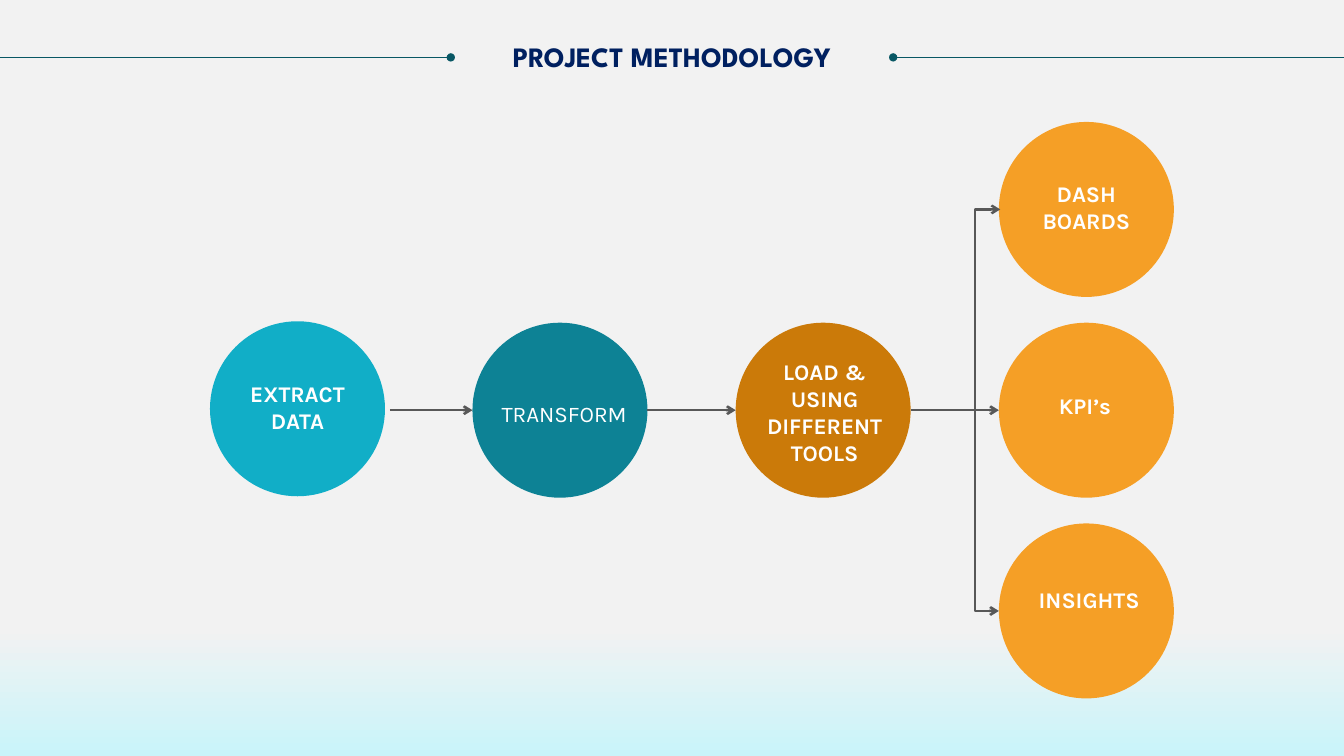
from pptx import Presentation
from pptx.dml.color import RGBColor
from pptx.enum.shapes import MSO_CONNECTOR, MSO_SHAPE
from pptx.enum.text import MSO_ANCHOR, PP_ALIGN
from pptx.oxml.ns import qn
from pptx.util import Pt
from lxml.etree import SubElement

COLORS = {
    "paper": "F2F2F2", "glow": "C9F4FA", "rule": "085764", "title": "002060",
    "extract": "11AEC7", "transform": "0D8295", "load": "CB7A09",
    "output": "F59F26", "arrow": "585858", "label": "FFFFFF",
}
WIDTH, HEIGHT = 960, 540
DIAMETER = 125
LABEL_W, LINE_H = 108, 19


def rgb(name):
    return RGBColor.from_string(COLORS[name])


def add_text(slide, box, lines, *, size=16, font="Karla", color="label",
             bold=True, anchor=MSO_ANCHOR.MIDDLE, spacing=None):
    tb = slide.shapes.add_textbox(*map(Pt, box))
    tf = tb.text_frame
    tf.word_wrap = True
    tf.vertical_anchor = anchor
    tf.margin_left = tf.margin_right = tf.margin_top = tf.margin_bottom = 0
    for i, line in enumerate(lines):
        p = tf.add_paragraph() if i else tf.paragraphs[0]
        p.alignment = PP_ALIGN.CENTER
        p.line_spacing = spacing
        r = p.add_run()
        r.text = line
        r.font.size, r.font.name, r.font.bold = Pt(size), font, bold
        r.font.color.rgb = rgb(color)


def add_line(slide, start, end, *, color="arrow", width=1.75, head=None,
             tail=None, kind=MSO_CONNECTOR.STRAIGHT):
    cx = slide.shapes.add_connector(kind, *map(Pt, (*start, *end)))
    cx.line.color.rgb = rgb(color)
    cx.line.width = Pt(width)
    ln = cx.line._get_or_add_ln()
    for tag, end_type in (("a:headEnd", head), ("a:tailEnd", tail)):
        if end_type:
            SubElement(ln, qn(tag)).set("type", end_type)
    SubElement(cx._element.spPr, qn("a:effectLst"))
    return cx


def add_bracket(slide, x, top, bottom, reach):
    """Join two points at x by a bent line that runs reach to their left."""
    cx = add_line(slide, (x + 1, top), (x, bottom), head="arrow",
                  tail="arrow", kind=MSO_CONNECTOR.ELBOW)
    geom = cx._element.spPr.find(qn("a:prstGeom"))
    av = geom.find(qn("a:avLst"))
    if av is None:
        av = SubElement(geom, qn("a:avLst"))
    gd = SubElement(av, qn("a:gd"))
    gd.set("name", "adj1")
    gd.set("fmla", f"val {(reach + 1) * 100000}")


def add_step(slide, left, mid, color, lines, label_dx, label_dy, rows,
             bold=True):
    """Draw a circle with a label shifted from its centre."""
    sp = slide.shapes.add_shape(MSO_SHAPE.OVAL, Pt(left),
                                Pt(mid - DIAMETER / 2), Pt(DIAMETER), Pt(DIAMETER))
    sp.shadow.inherit = False
    sp.fill.solid()
    sp.fill.fore_color.rgb = rgb(color)
    sp.line.fill.background()
    height = rows * LINE_H
    add_text(slide, (left + (DIAMETER - LABEL_W) / 2 + label_dx,
                     mid + label_dy - height / 2, LABEL_W, height),
             lines, bold=bold)


def set_background(slide):
    fill = slide.background.fill
    fill.gradient()
    fill.gradient_angle = 270
    for stop, (pos, color) in zip(fill.gradient_stops,
                                  ((0.83, "paper"), (1, "glow"))):
        stop.position = pos
        stop.color.rgb = rgb(color)


def add_header(slide, left, top, width, height):
    rule_y, rule_w = top + 10, 322
    add_line(slide, (left, rule_y), (left + rule_w, rule_y),
             color="rule", width=0.5, tail="oval")
    add_line(slide, (left + width - rule_w, rule_y), (left + width, rule_y),
             color="rule", width=0.5, head="oval")
    add_text(slide, (left + 18, top, width - 36, height),
             ["PROJECT METHODOLOGY"], size=20, font="League Spartan",
             color="title", anchor=MSO_ANCHOR.TOP, spacing=0.9)


def add_flow(slide, left, mid, step, rise):
    """Draw three steps in a row, then a column of three outputs."""
    xs = [left + step * i - (0.5 if i else 0) for i in range(4)]
    ys = [mid + rise * i for i in (-1, 0, 1)]
    add_step(slide, xs[0], mid - 1, "extract", ["EXTRACT DATA"], 0, -1, 2)
    add_step(slide, xs[1], mid, "transform", ["TRANSFORM"], 3, 2.5, 1, bold=False)
    add_step(slide, xs[2], mid, "load",
             ["LOAD &", "USING DIFFERENT", "TOOLS"], 1, 1.5, 4)
    outputs = (("DASH BOARDS", 0, -1.5, 2), ("KPI’s", -1, -3, 1),
               ("INSIGHTS", 2, -8, 1))
    for y, (label, dx, dy, rows) in zip(ys, outputs):
        add_step(slide, xs[3], y, "output", [label], dx, dy, rows)

    starts = [x + DIAMETER for x in xs[:3]]
    starts[0] += 3.5
    for start, end in zip(starts, xs[1:]):
        add_line(slide, (start, mid), (end, mid), tail="arrow")
    add_bracket(slide, xs[3], ys[0], ys[2], reach=17)


def main():
    prs = Presentation()
    prs.slide_width, prs.slide_height = Pt(WIDTH), Pt(HEIGHT)
    slide = prs.slides.add_slide(prs.slide_layouts[6])
    set_background(slide)
    add_header(slide, 0, 31, WIDTH, 52)
    add_flow(slide, left=150, mid=293, step=188, rise=143.4)
    prs.save("out.pptx")


if __name__ == "__main__":
    main()
